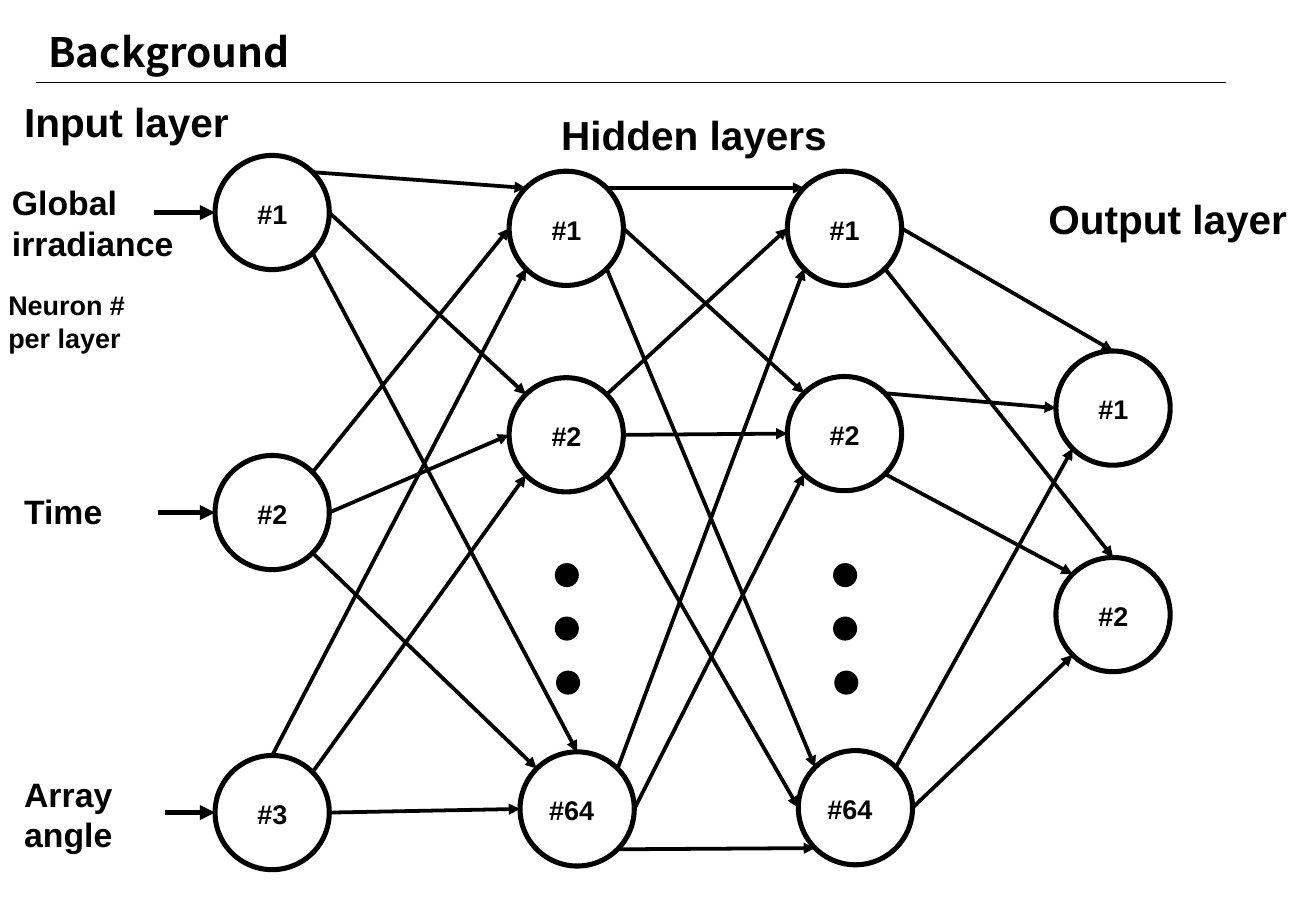
from math import sqrt

from pptx import Presentation
from pptx.dml.color import RGBColor
from pptx.enum.shapes import MSO_CONNECTOR as Connector, MSO_SHAPE as Shape
from pptx.enum.text import MSO_ANCHOR as Anchor
from pptx.oxml.ns import qn
from pptx.util import Inches, Pt
from lxml import etree

COLORS = {"ink": "000000", "paper": "FFFFFF"}
INK = RGBColor.from_string(COLORS["ink"])
PAPER = RGBColor.from_string(COLORS["paper"])
NEURON = 0.94
DOT = 0.17

presentation = Presentation()
presentation.slide_width = Inches(10.83)
presentation.slide_height = Inches(7.5)
slide = presentation.slides.add_slide(presentation.slide_layouts[6])


def add_text(text, left, top, width, height, size, font="Arial", anchor=Anchor.TOP):
    box = slide.shapes.add_textbox(Inches(left), Inches(top), Inches(width), Inches(height))
    box.text_frame.word_wrap = True
    box.text_frame.vertical_anchor = anchor
    run = box.text_frame.paragraphs[0].add_run()
    run.text = text
    run.font.color.rgb = INK
    for name, value in {"name": font, "size": Pt(size), "bold": True}.items():
        setattr(run.font, name, value)


def add_line(start, end, weight, arrow=True):
    line = slide.shapes.add_connector(
        Connector.STRAIGHT, *(Inches(value) for value in (*start, *end)))
    line.line.color.rgb = INK
    line.line.width = Pt(weight)
    if arrow:
        etree.SubElement(line.line._get_or_add_ln(), qn("a:tailEnd"), type="triangle")
    etree.SubElement(line._element.spPr, qn("a:effectLst"))


# Title and rule
add_line((0.3, 0.68), (10.09, 0.68), 0.75, arrow=False)
add_text("Background", 0.3, 0.12, 6.65, 0.6, 24, "Noto Sans CJK JP", Anchor.MIDDLE)

# Neurons: layer -> (label, left, top); dots: (left, top)
layers = {
    "input": [("#1", 1.77, 1.28), ("#2", 1.77, 3.75), ("#3", 1.77, 6.22)],
    "first": [("#1", 4.19, 1.41), ("#2", 4.19, 3.11), ("#64", 4.28, 6.19)],
    "second": [("#1", 6.48, 1.41), ("#2", 6.48, 3.1), ("#64", 6.57, 6.18)],
    "output": [("#1", 8.69, 2.89), ("#2", 8.69, 4.59)],
}
neurons = [neuron for layer in layers.values() for neuron in layer]
dots = [(left + offset, top)
        for left in (4.58, 6.87)
        for offset, top in ((0, 4.65), (0, 5.09), (0.01, 5.535))]
circles = [(left, top, NEURON, PAPER, 3) for _, left, top in neurons]
circles += [(left, top, DOT, INK, 2) for left, top in dots]
for left, top, size, fill, weight in circles:
    circle = slide.shapes.add_shape(
        Shape.OVAL, Inches(left), Inches(top), Inches(size), Inches(size))
    circle.shadow.inherit = False
    circle.fill.solid()
    circle.fill.fore_color.rgb = fill
    circle.line.color.rgb = INK
    circle.line.width = Pt(weight)

# Neuron numbers
for label, left, top in neurons:
    inset, width = (0.14, 0.79) if label == "#64" else (0.25, 0.51)
    add_text(label, left + inset, top + 0.295, width, 0.37, 16)

# Arrows into the input layer
for start, (_, left, top) in zip((1.27, 1.3, 1.36), layers["input"]):
    middle = top + NEURON / 2
    add_line((start, middle), (left, middle), 3)

# Links: (from neuron, side, to neuron, side), sides as compass points
compass = {"N": (0, -1), "E": (1, 0), "S": (0, 1), "W": (-1, 0)}
for vertical in "NS":
    for horizontal in "EW":
        compass[vertical + horizontal] = (
            compass[horizontal][0] / sqrt(2), compass[vertical][1] / sqrt(2))
links = {
    ("input", "first"): [
        (0, "NE", 0, "NW"), (0, "E", 1, "NW"), (0, "SE", 2, "N"),
        (1, "SE", 2, "NW"), (1, "E", 1, "W"), (1, "NE", 0, "W"),
        (2, "N", 0, "SW"), (2, "NE", 1, "SW"), (2, "E", 2, "W")],
    ("first", "second"): [
        (0, "NE", 0, "NW"), (0, "E", 1, "NW"), (0, "SE", 2, "NW"),
        (1, "SE", 2, "W"), (1, "E", 1, "W"), (1, "NE", 0, "W"),
        (2, "NE", 0, "SW"), (2, "E", 1, "SW"), (2, "SE", 2, "SW")],
    ("second", "output"): [
        (0, "E", 0, "N"), (0, "SE", 1, "N"), (1, "NE", 0, "W"),
        (1, "SE", 1, "NW"), (2, "NE", 0, "SW"), (2, "E", 1, "SW")],
}
for (source, target), pairs in links.items():
    for source_index, source_side, target_index, target_side in pairs:
        ends = []
        for layer, index, side in ((source, source_index, source_side),
                                   (target, target_index, target_side)):
            _, left, top = layers[layer][index]
            across, down = compass[side]
            ends.append((left + NEURON / 2 * (1 + across), top + NEURON / 2 * (1 + down)))
        add_line(*ends, 2.25)

# Layer names and inputs
captions = [
    ("Input layer", 0.1, 0.75, 2.06, 0.5, 24),
    ("Hidden layers", 4.52, 0.86, 2.43, 0.5, 24),
    ("Output layer", 8.53, 1.55, 2.43, 0.5, 24),
    ("Global irradiance", 0, 1.45, 1.61, 0.77, 20),
    ("Time", 0.1, 3.99, 0.97, 0.44, 20),
    ("Array angle", 0.1, 6.32, 1.08, 0.77, 20),
    ("Neuron # per layer", -0.03, 2.33, 1.18, 0.64, 16),
]
for caption in captions:
    add_text(*caption)

presentation.save("out.pptx")
